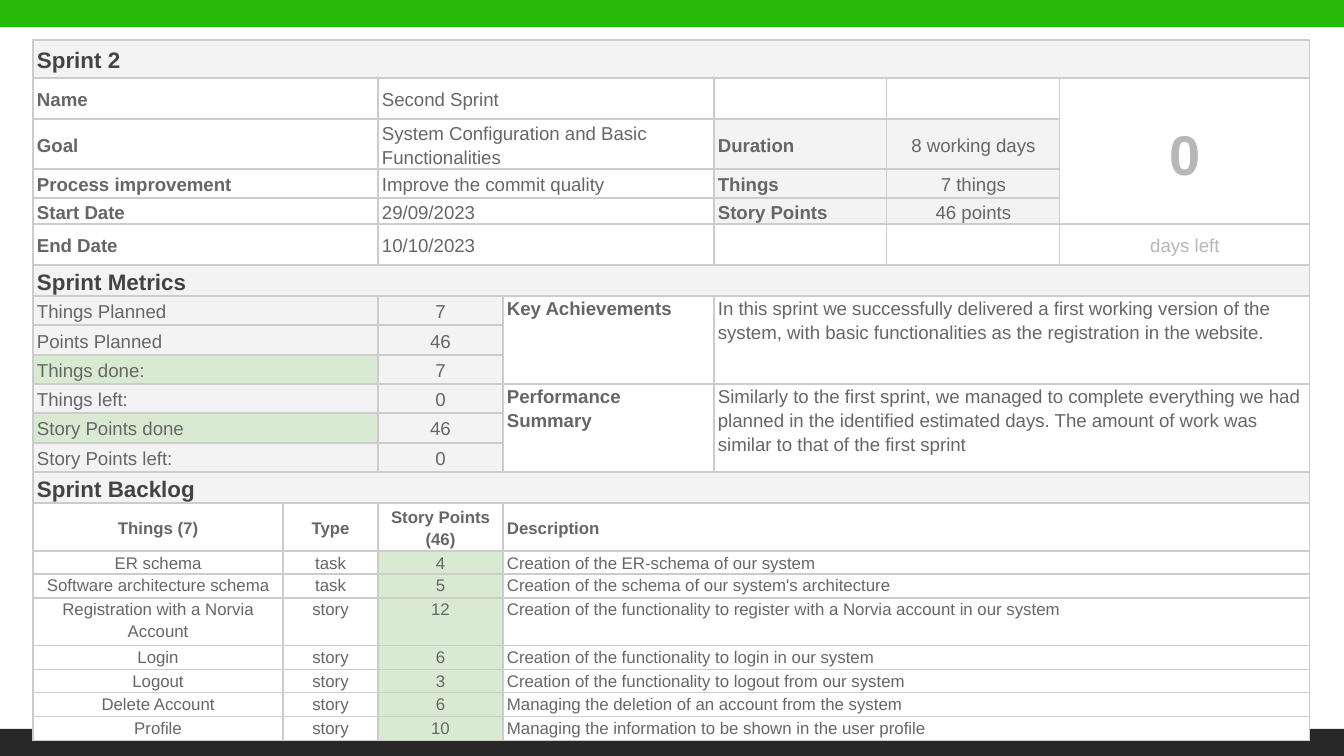
from lxml.etree import SubElement
from pptx import Presentation
from pptx.dml.color import RGBColor
from pptx.enum.shapes import MSO_SHAPE as Shape
from pptx.enum.text import MSO_ANCHOR as Anchor, PP_ALIGN as Align
from pptx.oxml import parse_xml
from pptx.oxml.ns import nsdecls
from pptx.util import Emu, Pt

PX = 6804  # EMU per px, 1344 px across 10 inches
FONT = "Arial"

GREEN = RGBColor(0x28, 0xBA, 0x0B)
DARK = RGBColor(0x28, 0x28, 0x28)
WHITE = RGBColor(0xFF, 0xFF, 0xFF)
PALE_GREY = RGBColor(0xF3, 0xF3, 0xF3)
PALE_GREEN = RGBColor(0xD9, 0xEA, 0xD3)
HEADING = RGBColor(0x43, 0x43, 0x43)
BODY = RGBColor(0x66, 0x66, 0x66)
FAINT = RGBColor(0xB7, 0xB7, 0xB7)
BORDER = RGBColor(0xCC, 0xCC, 0xCC)

COLUMNS = [250, 95, 125, 211, 173, 173, 250]
ROWS = [38, 38, 50, 29, 26, 37,
        31, 29, 30, 29, 29, 30, 29,
        31, 48, 23, 24, 48, 24, 23, 24, 24]
SECTIONS = {0: "Sprint 2", 6: "Sprint Metrics", 13: "Sprint Backlog"}

DETAILS = [
    ("Name", "Second Sprint"),
    ("Goal", "System Configuration and Basic Functionalities"),
    ("Process improvement", "Improve the commit quality"),
    ("Start Date", "29/09/2023"),
    ("End Date", "10/10/2023"),
]
TOTALS = [
    ("Duration", "8 working days"),
    ("Things", "7 things"),
    ("Story Points", "46 points"),
]
METRICS = [
    ("Things Planned", "7", PALE_GREY),
    ("Points Planned", "46", PALE_GREY),
    ("Things done:", "7", PALE_GREEN),
    ("Things left:", "0", PALE_GREY),
    ("Story Points done", "46", PALE_GREEN),
    ("Story Points left:", "0", PALE_GREY),
]
REVIEW = [
    ("Key Achievements",
     "In this sprint we successfully delivered a first working version of the "
     "system, with basic functionalities as the registration in the website."),
    ("Performance Summary",
     "Similarly to the first sprint, we managed to complete everything we had "
     "planned in the identified estimated days. The amount of work was similar "
     "to that of the first sprint"),
]
BACKLOG_HEADER = ("Things (7)", "Type", "Story Points (46)", "Description")
BACKLOG = [
    ("ER schema", "task", "4", "Creation of the ER-schema of our system"),
    ("Software architecture schema", "task", "5",
     "Creation of the schema of our system's architecture"),
    ("Registration with a Norvia Account", "story", "12",
     "Creation of the functionality to register with a Norvia account in our system"),
    ("Login", "story", "6", "Creation of the functionality to login in our system"),
    ("Logout", "story", "3", "Creation of the functionality to logout from our system"),
    ("Delete Account", "story", "6",
     "Managing the deletion of an account from the system"),
    ("Profile", "story", "10",
     "Managing the information to be shown in the user profile"),
]


def px(length):
    return Emu(length * PX)


def add_bar(slide, top, color):
    bar = slide.shapes.add_shape(Shape.RECTANGLE, px(-9), px(top), px(1362), px(35))
    bar.shadow.inherit = False
    bar.fill.solid()
    bar.fill.fore_color.rgb = color
    bar.line.fill.background()


def add_grid(slide):
    """Add the empty table with white, thinly bordered cells."""
    grid = slide.shapes.add_table(len(ROWS), len(COLUMNS), px(33), px(40),
                                  px(sum(COLUMNS)), px(sum(ROWS))).table
    grid.first_row = grid.horz_banding = False
    for column, width in zip(grid.columns, COLUMNS):
        column.width = px(width)
    for row, height in zip(grid.rows, ROWS):
        row.height = px(height)
    for cell in grid.iter_cells():
        cell.margin_left = cell.margin_right = px(4)
        cell.margin_top = cell.margin_bottom = 0
        add_borders(cell)
        fill_cell(cell, WHITE)
    return grid


def add_borders(cell):
    properties = cell._tc.get_or_add_tcPr()
    for position, side in enumerate("LRTB"):
        line = parse_xml(f'<a:ln{side} {nsdecls("a")} w="{Pt(0.75)}"/>')
        fill = SubElement(line, f"{{{line.nsmap['a']}}}solidFill")
        SubElement(fill, f"{{{line.nsmap['a']}}}srgbClr", val=str(BORDER))
        properties.insert(position, line)


def fill_cell(cell, color):
    cell.fill.solid()
    cell.fill.fore_color.rgb = color


def write(grid, row, column, text, *, rows=1, columns=1, size=10, color=BODY,
          bold=False, align=Align.LEFT, anchor=Anchor.MIDDLE, fill=WHITE):
    """Write text into a cell that spans the given rows and columns."""
    cell = grid.cell(row, column)
    if rows > 1 or columns > 1:
        cell.merge(grid.cell(row + rows - 1, column + columns - 1))
    fill_cell(cell, fill)
    cell.vertical_anchor = anchor
    paragraph = cell.text_frame.paragraphs[0]
    paragraph.alignment = align
    paragraph.line_spacing = 1.15
    run = paragraph.add_run()
    run.text = text
    run.font.name = FONT
    run.font.size = Pt(size)
    run.font.bold = bold
    run.font.color.rgb = color


def write_sections(grid):
    for row, title in SECTIONS.items():
        write(grid, row, 0, title, columns=7, size=12, color=HEADING,
              bold=True, fill=PALE_GREY)


def write_details(grid):
    for row, (label, value) in enumerate(DETAILS, 1):
        write(grid, row, 0, label, columns=2, bold=True)
        write(grid, row, 2, value, columns=2)
    for row, (label, value) in enumerate(TOTALS, 2):
        write(grid, row, 4, label, bold=True, fill=PALE_GREY)
        write(grid, row, 5, value, align=Align.CENTER, fill=PALE_GREY)
    write(grid, 1, 6, "0", rows=4, size=30, color=FAINT, bold=True, align=Align.CENTER)
    write(grid, 5, 6, "days left", color=FAINT, align=Align.CENTER)


def write_metrics(grid):
    for row, (label, value, fill) in enumerate(METRICS, 7):
        write(grid, row, 0, label, columns=2, fill=fill)
        write(grid, row, 2, value, align=Align.CENTER, fill=PALE_GREY)
    for index, (label, comment) in enumerate(REVIEW):
        row = 7 + 3 * index
        write(grid, row, 3, label, rows=3, bold=True, anchor=Anchor.TOP)
        write(grid, row, 4, comment, rows=3, columns=3, anchor=Anchor.TOP)


def write_backlog_row(grid, row, entries, points_fill=WHITE, **text_format):
    *centred, description = entries
    for column, entry in enumerate(centred):
        write(grid, row, column, entry, size=9, align=Align.CENTER,
              fill=points_fill if column == 2 else WHITE, **text_format)
    write(grid, row, 3, description, columns=4, size=9, **text_format)


def write_backlog(grid):
    write_backlog_row(grid, 14, BACKLOG_HEADER, bold=True)
    for row, entries in enumerate(BACKLOG, 15):
        write_backlog_row(grid, row, entries, PALE_GREEN, anchor=Anchor.TOP)


def main():
    deck = Presentation()
    deck.slide_width, deck.slide_height = px(1344), px(756)
    slide = deck.slides.add_slide(deck.slide_layouts[6])
    add_bar(slide, 729, DARK)
    add_bar(slide, -8, GREEN)
    grid = add_grid(slide)
    write_sections(grid)
    write_details(grid)
    write_metrics(grid)
    write_backlog(grid)
    deck.save("out.pptx")


if __name__ == "__main__":
    main()
